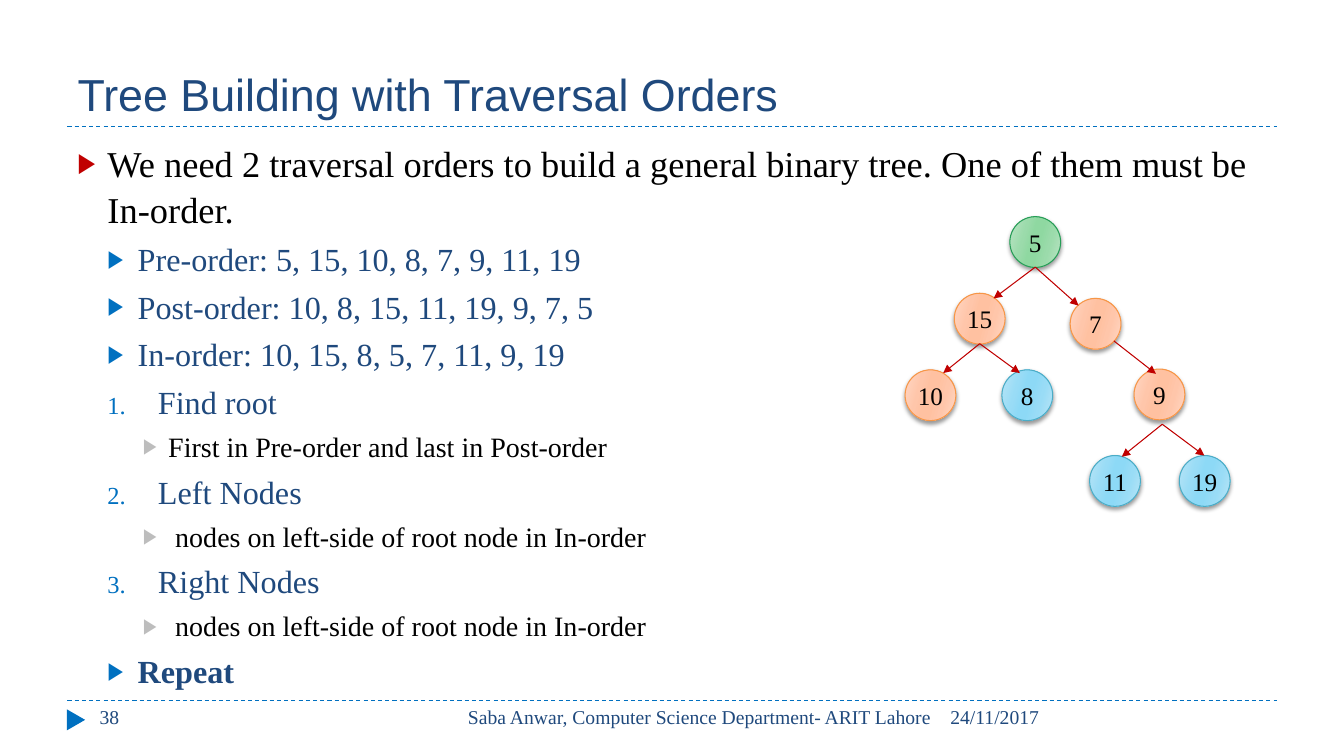
import dataclasses
import typing

import lxml.etree
import pptx
import pptx.dml.color
import pptx.enum.dml
import pptx.enum.shapes
import pptx.enum.text
import pptx.oxml.ns
import pptx.util

Cm = pptx.util.Cm
Pt = pptx.util.Pt
Align = pptx.enum.text.PP_ALIGN
Anchor = pptx.enum.text.MSO_ANCHOR
Form = pptx.enum.shapes.MSO_SHAPE


class Tint(typing.NamedTuple):
    edge: str
    mid: str
    core: str
    line: str


@dataclasses.dataclass(frozen=True)
class Theme:
    head: str = "Arial"
    body: str = "Times New Roman"
    navy: str = "1F497D"
    blue: str = "0070C0"
    red: str = "C00000"
    grey: str = "BDBDBD"
    black: str = "000000"
    title: int = 32
    main: int = 26
    point: int = 23
    detail: int = 20
    node: int = 18
    foot: int = 14
    thin: float = 0.75
    green: Tint = Tint("BBE4C5", "9BDBAB", "8FD8A1", "279D57")
    peach: Tint = Tint("FFD7C5", "FFC6AA", "FFC1A1", "F79646")
    sky: Tint = Tint("B9E5F7", "99DCF6", "8DD9F6", "4BACC6")


THEME = Theme()


class Style(typing.NamedTuple):
    level: int
    left: float
    hang: float
    space: int
    size: int
    color: str
    mark: str


MAIN = Style(0, 0.76, 0.76, 6, THEME.main, THEME.black, THEME.red)
POINT = Style(1, 1.52, 0.76, 5, THEME.point, THEME.navy, THEME.blue)
STEP = POINT._replace(left=2.03, hang=1.27)
DETAIL = Style(2, 2.29, 0.64, 5, THEME.detail, THEME.black, THEME.grey)


class Item(typing.NamedTuple):
    text: str
    style: Style
    count: int = 0
    bold: bool = False


class Node(typing.NamedTuple):
    value: int
    left: float
    top: float
    tint: Tint


class Edge(typing.NamedTuple):
    x1: float
    y1: float
    x2: float
    y2: float


class Note(typing.NamedTuple):
    text: str
    left: float
    width: float
    align: Align = Align.LEFT


ITEMS = [
    Item("We need 2 traversal orders to build a general binary tree. One of them must be In-order.", MAIN),
    Item("Pre-order: 5, 15, 10, 8, 7, 9, 11, 19", POINT),
    Item("Post-order: 10, 8, 15, 11, 19, 9, 7, 5", POINT),
    Item("In-order: 10, 15, 8, 5, 7, 11, 9, 19", POINT),
    Item("Find root", STEP, count=1),
    Item("First in Pre-order and last in Post-order", DETAIL),
    Item("Left Nodes", STEP, count=2),
    Item(" nodes on left-side of root node in In-order", DETAIL),
    Item("Right Nodes", STEP, count=3),
    Item(" nodes on left-side of root node in In-order", DETAIL),
    Item("Repeat", POINT, bold=True),
]
NODES = [
    Node(5, 25.45, 5.46, THEME.green),
    Node(15, 24.05, 7.39, THEME.peach),
    Node(7, 26.97, 7.52, THEME.peach),
    Node(10, 22.81, 9.32, THEME.peach),
    Node(8, 25.25, 9.32, THEME.sky),
    Node(9, 28.58, 9.3, THEME.peach),
    Node(11, 27.46, 11.48, THEME.sky),
    Node(19, 29.72, 11.48, THEME.sky),
]
EDGES = [
    Edge(26.09, 6.73, 25.04, 7.52),
    Edge(26.09, 6.73, 27.18, 7.7),
    Edge(24.69, 8.66, 23.77, 9.4),
    Edge(24.69, 8.66, 25.7, 9.4),
    Edge(28.07, 8.59, 29.13, 9.42),
    Edge(29.29, 10.69, 28.27, 11.51),
    Edge(29.29, 10.69, 30.35, 11.48),
]
NOTES = [
    Note("38", 2.26, 7.34),
    Note("Saba Anwar, Computer Science Department- ARIT Lahore", 10.74, 12.98, Align.RIGHT),
    Note("24/11/2017", 23.7, 8.48),
]
RULES = [Edge(1.7, y, 32.18, y) for y in (3.18, 17.65)]


def rgb(color: str):
    return pptx.dml.color.RGBColor.from_string(color)


def add(root, tag: str, **attrs):
    return lxml.etree.SubElement(root, pptx.oxml.ns.qn(tag), attrs)


def put(para, text: str, *, size: int, color: str, font: str = THEME.body,
        bold: bool = False, align: Align = Align.LEFT) -> None:
    para.alignment = align
    run = para.add_run()
    run.text = text
    run.font.name = font
    run.font.size = Pt(size)
    run.font.bold = bold
    run.font.color.rgb = rgb(color)


def add_box(slide, left: float, top: float, width: float, height: float):
    frame = slide.shapes.add_textbox(Cm(left), Cm(top), Cm(width), Cm(height)).text_frame
    frame.word_wrap = True
    return frame


def draw_line(slide, edge: Edge, color: str, arrow: bool) -> None:
    link = slide.shapes.add_connector(pptx.enum.shapes.MSO_CONNECTOR.STRAIGHT, *map(Cm, edge))
    link.line.color.rgb = rgb(color)
    link.line.width = Pt(THEME.thin)
    if arrow:
        add(link.line._get_or_add_ln(), "a:tailEnd", type="triangle")
    else:
        link.line.dash_style = pptx.enum.dml.MSO_LINE.DASH
    add(link._element.spPr, "a:effectLst")


def draw_node(slide, node: Node) -> None:
    ball = slide.shapes.add_shape(Form.OVAL, Cm(node.left), Cm(node.top), Cm(1.28), Cm(1.28))
    tint = node.tint
    ball.line.color.rgb = rgb(tint.line)
    ball.line.width = Pt(THEME.thin)
    ball.fill.gradient()
    ball.fill.gradient_angle = 344
    props = ball._element.spPr
    stops = props.find(".//" + pptx.oxml.ns.qn("a:gsLst"))
    stops.clear()
    shades = (tint.edge, tint.mid, tint.core)
    for place, shade in zip((0, 30, 45, 55, 73, 100), shades + shades[::-1]):
        add(add(stops, "a:gs", pos=str(place * 1000)), "a:srgbClr", val=shade)
    ball.shadow.inherit = False
    shade = add(props.find(pptx.oxml.ns.qn("a:effectLst")), "a:outerShdw", blurRad=str(Pt(3)),
                dist=str(Pt(2)), dir="5400000", rotWithShape="0")
    add(add(shade, "a:srgbClr", val=THEME.black), "a:alpha", val="40000")
    frame = ball.text_frame
    frame.margin_left = frame.margin_right = 0
    frame.vertical_anchor = Anchor.MIDDLE
    put(frame.paragraphs[0], str(node.value), size=THEME.node, color=THEME.black, align=Align.CENTER)


def write_item(para, item: Item) -> None:
    style = item.style
    para.level = style.level
    para.space_before = Pt(style.space)
    para.line_spacing = 1.05
    put(para, item.text, size=style.size, color=style.color, bold=item.bold)
    props = para._p.get_or_add_pPr()
    props.set("marL", str(Cm(style.left)))
    props.set("indent", str(-Cm(style.hang)))
    add(add(props, "a:buClr"), "a:srgbClr", val=style.mark)
    add(props, "a:buSzPct", val="76000")
    if item.count:
        add(props, "a:buFont", typeface=THEME.body)
        add(props, "a:buAutoNum", type="arabicPeriod", startAt=str(item.count))
    else:
        add(props, "a:buFont", typeface=THEME.head)
        add(props, "a:buChar", char="▶")


def main() -> None:
    deck = pptx.Presentation()
    deck.slide_width, deck.slide_height = Cm(33.87), Cm(19.05)
    slide = deck.slides.add_slide(deck.slide_layouts[5])
    title = slide.shapes.title
    title.left, title.top, title.width, title.height = Cm(1.7), Cm(0.43), Cm(30.48), Cm(2.74)
    title.text_frame.vertical_anchor = Anchor.BOTTOM
    put(title.text_frame.paragraphs[0], "Tree Building with Traversal Orders",
        size=THEME.title, color=THEME.navy, font=THEME.head)
    for rule in RULES:
        draw_line(slide, rule, THEME.blue, arrow=False)
    mark = slide.shapes.add_shape(Form.ISOSCELES_TRIANGLE, Cm(1.65), Cm(17.91), Cm(0.53), Cm(0.46))
    mark.rotation = 90
    mark.shadow.inherit = False
    mark.fill.solid()
    mark.fill.fore_color.rgb = rgb(THEME.blue)
    mark.line.fill.background()
    for note in NOTES:
        frame = add_box(slide, note.left, 17.65, note.width, 1.02)
        put(frame.paragraphs[0], note.text, size=THEME.foot, color=THEME.navy, align=note.align)
    frame = add_box(slide, 1.7, 3.38, 30.48, 13.72)
    for rank, item in enumerate(ITEMS):
        write_item(frame.add_paragraph() if rank else frame.paragraphs[0], item)
    for node in NODES:
        draw_node(slide, node)
    for edge in EDGES:
        draw_line(slide, edge, THEME.red, arrow=True)
    deck.save("out.pptx")


if __name__ == "__main__":
    main()
